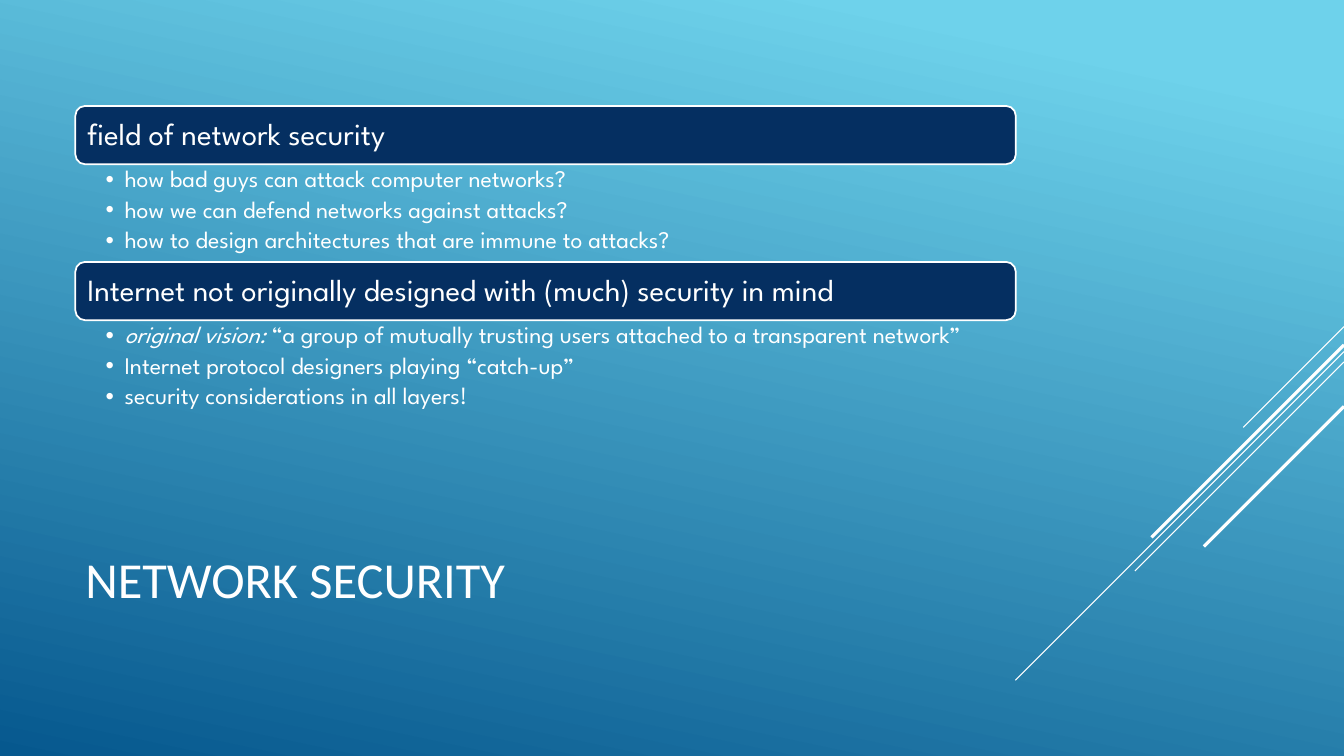
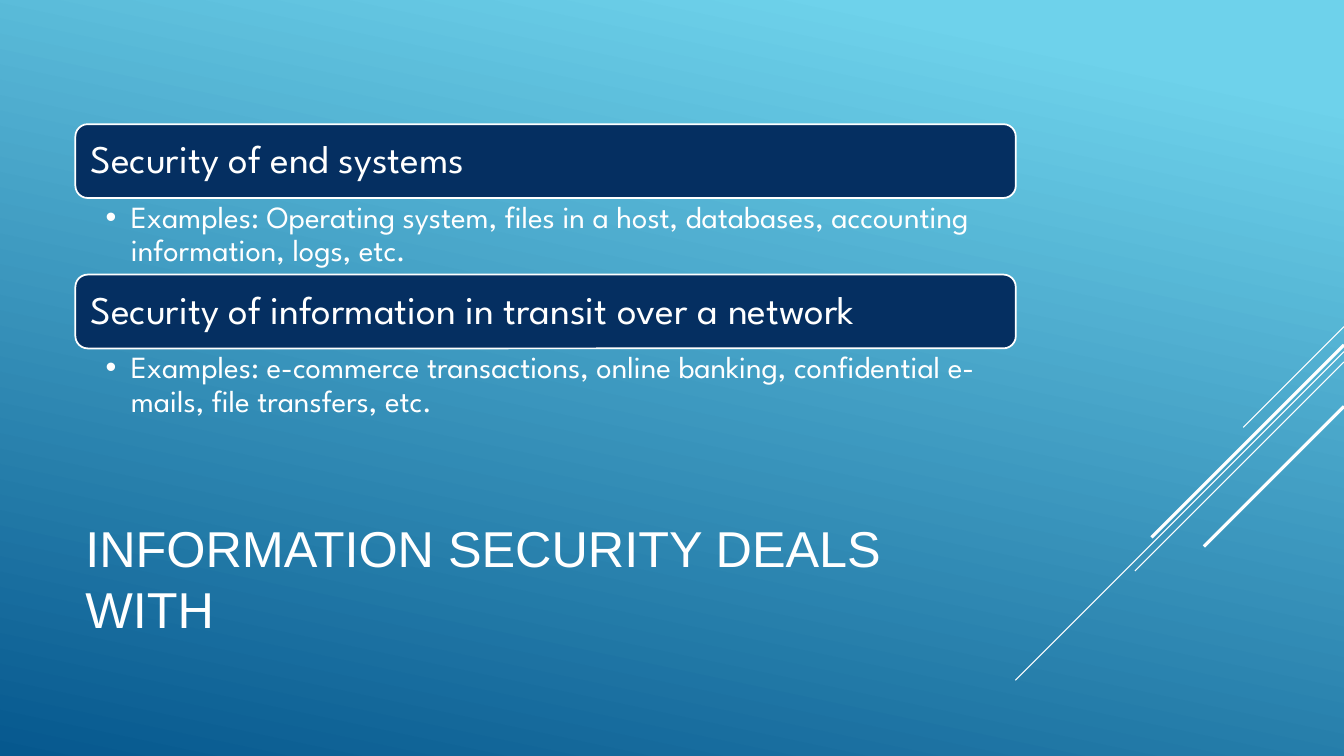
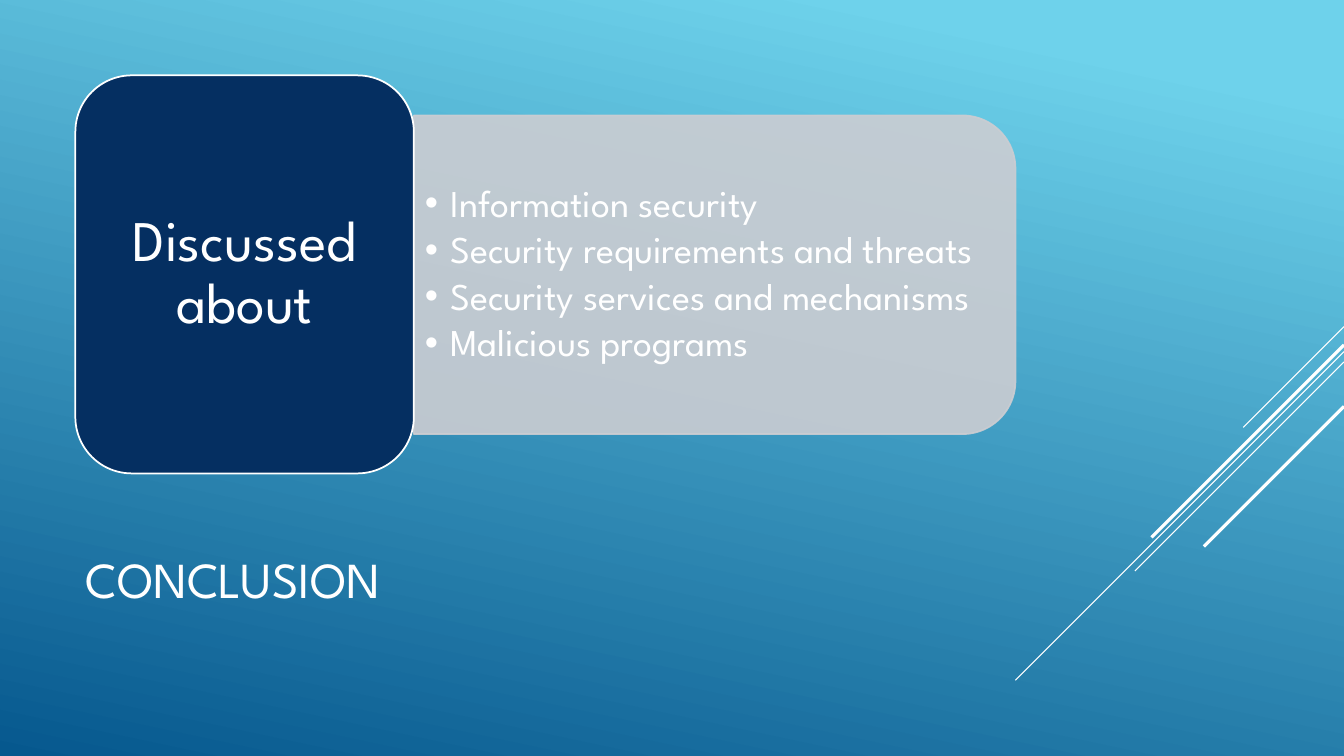
from dataclasses import dataclass

from lxml.etree import SubElement
from pptx import Presentation
from pptx.dml.color import RGBColor
from pptx.enum.shapes import MSO_CONNECTOR, MSO_SHAPE
from pptx.enum.text import MSO_ANCHOR, MSO_AUTO_SIZE, PP_ALIGN
from pptx.oxml.ns import qn
from pptx.util import Cm, Pt

STRAIGHT = MSO_CONNECTOR.STRAIGHT
ROUNDED = MSO_SHAPE.ROUNDED_RECTANGLE
ROUNDED_TOP = MSO_SHAPE.ROUND_2_SAME_RECTANGLE
MIDDLE, TOP = MSO_ANCHOR.MIDDLE, MSO_ANCHOR.TOP
LEFT, CENTER = PP_ALIGN.LEFT, PP_ALIGN.CENTER
NO_AUTOFIT = MSO_AUTO_SIZE.NONE

WHITE = RGBColor(0xFF, 0xFF, 0xFF)
NAVY = RGBColor(0x05, 0x2F, 0x61)
SILVER = RGBColor(0xCC, 0xCD, 0xD2)
SKY = RGBColor(0x6E, 0xD2, 0xEB)
OCEAN = RGBColor(0x06, 0x58, 0x8E)

BODY_FONT = "League Spartan"
OUTLINE = Pt(1.25)
HEADING_SPACE = 0.35  # space after, as a share of the text size

# Lengths in centimetres
SLIDE_WIDTH, SLIDE_HEIGHT = 33.87, 19.05
CONTENT_LEFT, CONTENT_WIDTH = 1.9, 23.7


@dataclass(frozen=True)
class Box:
    left: float
    top: float
    width: float
    height: float

    def lengths(self) -> tuple:
        return Cm(self.left), Cm(self.top), Cm(self.width), Cm(self.height)


@dataclass(frozen=True)
class Streak:
    top: float
    run: float
    weight: float


@dataclass(frozen=True)
class Bullet:
    text: str
    lead: str = ""  # opening words in italics


@dataclass(frozen=True)
class BulletStyle:
    size: float
    indent: float
    space: float
    insets: tuple
    anchor: MSO_ANCHOR = TOP


@dataclass(frozen=True)
class Section:
    heading: str
    bullets: tuple
    bullets_height: float


@dataclass(frozen=True)
class SectionStyle:
    top: float
    band_height: float
    heading_size: float
    band_inset: float
    bullets: BulletStyle


TITLE_BOX = Box(CONTENT_LEFT, 12.47, CONTENT_WIDTH, 4.19)

# Diagonal streaks, all at 45 degrees from the right edge
STREAKS = (
    Streak(8.23, 2.54, 0.75),
    Streak(8.86, 8.28, 0.75),
    Streak(9.12, 5.27, 0.75),
    Streak(8.69, 4.85, 2.25),
    Streak(10.24, 3.53, 2.25),
)

NETWORK_STYLE = SectionStyle(
    2.67, 1.47, 22, 0.23, BulletStyle(17, 0.48, 0.2, (0.76, 0.08, 0.43, 0.08)))
NETWORK_SECTIONS = (
    Section("field of network security", (
        Bullet("how bad guys can attack computer networks?"),
        Bullet("how we can defend networks against attacks?"),
        Bullet("how to design architectures that are immune to attacks?"),
    ), 2.46),
    Section("Internet not originally designed with (much) security in mind", (
        Bullet(" “a group of mutually trusting users attached to a transparent network”",
               lead="original vision:"),
        Bullet("Internet protocol designers playing “catch-up”"),
        Bullet("security considerations in all layers!"),
    ), 3.1),
)

INFORMATION_STYLE = SectionStyle(
    3.13, 1.86, 28, 0.3, BulletStyle(22, 0.64, 0.2, (0.76, 0.1, 0.56, 0.1)))
INFORMATION_SECTIONS = (
    Section("Security of end systems", (
        Bullet("Examples: Operating system, files in a host, databases, "
               "accounting information, logs, etc."),
    ), 1.93),
    Section("Security of information in transit over a network", (
        Bullet("Examples: e-commerce transactions, online banking, "
               "confidential e-mails, file transfers, etc."),
    ), 1.93),
)

SUMMARY_STYLE = BulletStyle(27, 0.64, 0.15, (0.28, 0.15, 0.28, 0.15), MIDDLE)
SUMMARY_BULLETS = (
    Bullet("Information security"),
    Bullet("Security requirements and threats"),
    Bullet("Security services and mechanisms"),
    Bullet("Malicious programs"),
)
SUMMARY_HEADING_BOX = Box(CONTENT_LEFT, 1.9, 8.53, 10.03)
SUMMARY_PANEL_BOX = Box(10.43, 2.91, 15.16, 8.03)
SUMMARY_TEXT_BOX = Box(10.43, 3.3, 14.78, 7.24)


def set_frame(frame, insets: tuple, anchor: MSO_ANCHOR) -> None:
    frame.word_wrap = True
    frame.auto_size = NO_AUTOFIT
    frame.vertical_anchor = anchor
    (frame.margin_left, frame.margin_top,
     frame.margin_right, frame.margin_bottom) = map(Cm, insets)


def format_runs(paragraph, size: float, font: str = BODY_FONT) -> None:
    for run in paragraph.runs:
        run.font.size = Pt(size)
        run.font.name = font
        run.font.color.rgb = WHITE


def set_spacing(paragraph, size: float, space: float) -> None:
    paragraph.line_spacing = 0.9
    paragraph.space_after = Pt(round(size * space, 2))


def set_background(master) -> None:
    fill = master.background.fill
    fill.gradient()
    fill.gradient_angle = 258
    for stop, color, position in zip(fill.gradient_stops, (SKY, OCEAN), (0.1, 1)):
        stop.color.rgb = color
        stop.position = position


def add_streaks(slide) -> None:
    for streak in STREAKS:
        line = slide.shapes.add_connector(
            STRAIGHT, Cm(SLIDE_WIDTH), Cm(streak.top),
            Cm(SLIDE_WIDTH - streak.run), Cm(streak.top + streak.run))
        line.line.color.rgb = WHITE
        line.line.width = Pt(streak.weight)
        SubElement(line.element.spPr, qn("a:effectLst"))


def add_titled_slide(prs, title: str, font: str):
    slide = prs.slides.add_slide(prs.slide_layouts[5])
    add_streaks(slide)
    placeholder = slide.shapes.title
    (placeholder.left, placeholder.top,
     placeholder.width, placeholder.height) = TITLE_BOX.lengths()
    frame = placeholder.text_frame
    frame.text = title
    set_frame(frame, (0.25, 0.13, 0.25, 0.13), MIDDLE)
    frame.paragraphs[0].alignment = LEFT
    format_runs(frame.paragraphs[0], 36, font)
    return slide


def add_block(slide, preset: MSO_SHAPE, box: Box, fill: RGBColor, outline: RGBColor):
    block = slide.shapes.add_shape(preset, *box.lengths())
    block.shadow.inherit = False
    block.fill.solid()
    block.fill.fore_color.rgb = fill
    block.line.color.rgb = outline
    block.line.width = OUTLINE
    return block


def add_heading(slide, box: Box, text: str, size: float, insets: tuple,
                alignment: PP_ALIGN = LEFT) -> None:
    frame = add_block(slide, ROUNDED, box, NAVY, WHITE).text_frame
    frame.text = text
    set_frame(frame, insets, MIDDLE)
    paragraph = frame.paragraphs[0]
    paragraph.alignment = alignment
    set_spacing(paragraph, size, HEADING_SPACE)
    format_runs(paragraph, size)


def add_bullets(slide, box: Box, bullets: tuple, style: BulletStyle) -> None:
    frame = slide.shapes.add_textbox(*box.lengths()).text_frame
    set_frame(frame, style.insets, style.anchor)
    for index, bullet in enumerate(bullets):
        paragraph = frame.add_paragraph() if index else frame.paragraphs[0]
        paragraph.text = bullet.lead or bullet.text
        if bullet.lead:
            paragraph.runs[0].font.italic = True
            paragraph.add_run().text = bullet.text
        set_spacing(paragraph, style.size, style.space)
        format_runs(paragraph, style.size)
        properties = paragraph._p.get_or_add_pPr()
        properties.set("marL", str(Cm(style.indent)))
        properties.set("indent", str(-Cm(style.indent)))
        SubElement(properties, qn("a:buFont"), typeface="Arial")
        SubElement(properties, qn("a:buChar"), char="•")


def add_sections(slide, sections: tuple, style: SectionStyle) -> None:
    top = style.top
    for section in sections:
        band = Box(CONTENT_LEFT, top, CONTENT_WIDTH, style.band_height)
        add_heading(slide, band, section.heading, style.heading_size,
                    (style.band_inset,) * 4)
        top += style.band_height
        area = Box(CONTENT_LEFT, top, CONTENT_WIDTH, section.bullets_height)
        add_bullets(slide, area, section.bullets, style.bullets)
        top += section.bullets_height


def add_summary_panel(slide, box: Box) -> None:
    # A quarter turn swaps width and height around the same centre
    shift = (box.width - box.height) / 2
    upright = Box(box.left + shift, box.top - shift, box.height, box.width)
    panel = add_block(slide, ROUNDED_TOP, upright, SILVER, SILVER)
    panel.rotation = 90
    for color in panel.element.spPr.iter(qn("a:srgbClr")):
        SubElement(color, qn("a:alpha"), val="90000")


def main() -> None:
    prs = Presentation()
    prs.slide_width, prs.slide_height = Cm(SLIDE_WIDTH), Cm(SLIDE_HEIGHT)
    set_background(prs.slide_master)

    # Network security
    network = add_titled_slide(prs, "NETWORK SECURITY", "Calibri")
    add_sections(network, NETWORK_SECTIONS, NETWORK_STYLE)

    # Information security
    information = add_titled_slide(prs, "INFORMATION SECURITY DEALS WITH", "Arial")
    add_sections(information, INFORMATION_SECTIONS, INFORMATION_STYLE)

    # Conclusion
    conclusion = add_titled_slide(prs, "CONCLUSION", BODY_FONT)
    add_summary_panel(conclusion, SUMMARY_PANEL_BOX)
    add_bullets(conclusion, SUMMARY_TEXT_BOX, SUMMARY_BULLETS, SUMMARY_STYLE)
    add_heading(conclusion, SUMMARY_HEADING_BOX, "Discussed about", 41,
                (0.43, 0.23, 0.43, 0.23), CENTER)

    prs.save("out.pptx")


if __name__ == "__main__":
    main()
